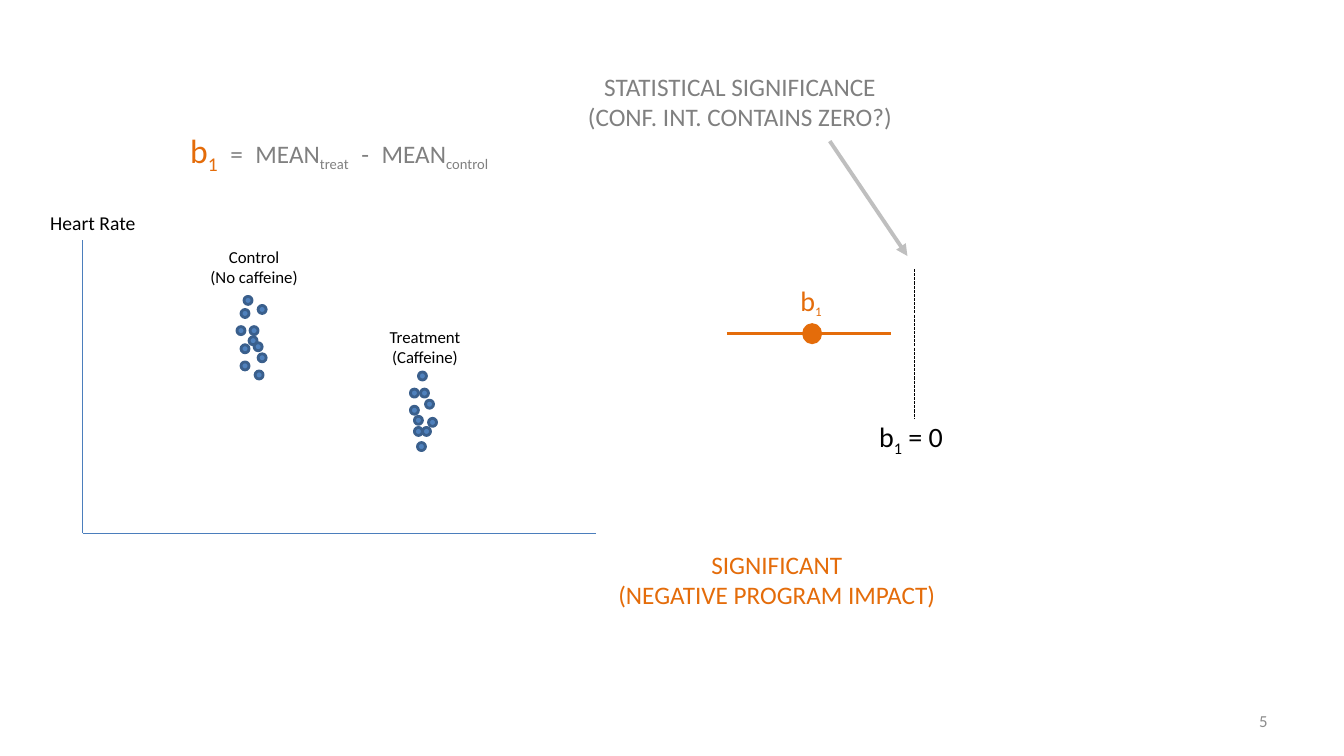
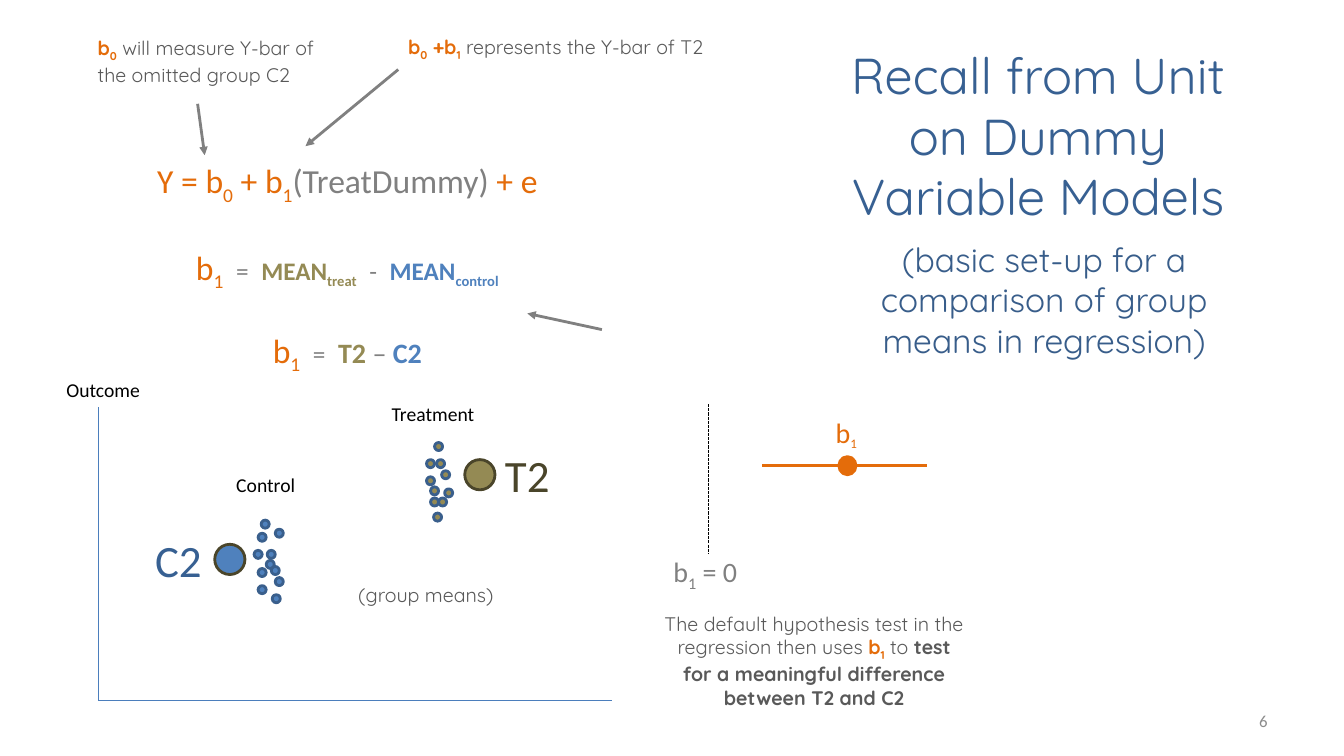
import pptx
import pptx.dml.color
import pptx.enum.dml
import pptx.enum.shapes
import pptx.enum.text
import pptx.oxml.ns
import pptx.util
from lxml import etree

Inches = pptx.util.Inches
Pt = pptx.util.Pt
LEFT = pptx.enum.text.PP_ALIGN.LEFT
CENTER = pptx.enum.text.PP_ALIGN.CENTER
RIGHT = pptx.enum.text.PP_ALIGN.RIGHT
TOP = pptx.enum.text.MSO_ANCHOR.TOP
MIDDLE = pptx.enum.text.MSO_ANCHOR.MIDDLE

BLACK, GRAY, DARK_GRAY, LIGHT_GRAY = "000000", "808080", "595959", "BFBFBF"
PAGE_GRAY, ORANGE, BLUE, OLIVE = "8C8C8C", "E46C0A", "4F81BD", "948A54"
NAVY, DOT_EDGE, AXIS_BLUE, DARK_OLIVE = "376092", "3A5F8C", "4B7EBC", "4A452A"
BODY_FONT, NOTE_FONT = "Calibri", "Quicksand"

CONTROL_DOTS = [
    (0, 0.3), (0.13, 0.3), (0.12, 0.4), (0.04, 0.48), (0.21, 0.57), (0.04, 0.65),
    (0.18, 0.74), (0.21, 0.09), (0.07, 0), (0.04, 0.13), (0.17, 0.46),
]
TREATMENT_DOTS = [
    (0, 0.34), (0, 0.17), (0.15, 0.28), (0.18, 0.46), (0.04, 0.55), (0.12, 0.55),
    (0.07, 0.7), (0.08, 0), (0.1, 0.17), (0.04, 0.44),
]

# A run is (text, colour, size, bold); text between underscores is subscript.
MEAN_DIFFERENCE = [("b_1_", ORANGE, 24), ("\u2002=\u2002MEAN_treat_\u2002-\u2002MEAN_control_",)]
ESTIMATE = [("b",), ("_1_", ORANGE, 16)]
ZERO = [("b_1_ = 0",)]
MODEL = [("Y = b_0_ + b_1_",), ("(TreatDummy) ", GRAY), ("+ e",)]
MODEL_MEANS = [
    ("b_1_",), ("\u2002=\u2002", GRAY, 18), ("MEAN_treat_", OLIVE, 18, True),
    ("\u2002-\u2002", GRAY, 18), ("MEAN_control_", BLUE, 18, True),
]
MODEL_GROUPS = [
    ("b_1_",), ("\u2002=\u2002", GRAY, 18), ("T2 ", OLIVE, 20, True),
    ("\u2013 ", GRAY, 20), ("C2", BLUE, 20, True),
]
INTERCEPT_NOTE = [("b_0_", ORANGE, None, True), (" will measure Y-bar of the omitted group C2",)]
SUM_NOTE = [("b_0_ +b_1_", ORANGE, None, True), (" represents the Y-bar of T2",)]
TEST_NOTE = [
    ("The default hypothesis test in the regression then uses ",),
    ("b_1_", ORANGE, None, True), (" to ",),
    ("test for a meaningful difference between T2 and C2", None, None, True),
]
TITLE = "Recall from Unit on Dummy Variable Models"
SUBTITLE = "(basic set-up for a comparison of group means in regression)"
MODEL_ARROWS = [
    (1.96, 1.03, 2.03, 1.54), (3.95, 0.69, 3.03, 1.45), (5.97, 3.27, 5.23, 3.11),
]


def rgb(value):
    return pptx.dml.color.RGBColor.from_string(value)


def add_run(paragraph, text, colour=None, size=None, bold=None):
    for index, piece in enumerate(text.split("_")):
        if not piece:
            continue
        run = paragraph.add_run()
        run.text = piece
        if colour:
            run.font.color.rgb = rgb(colour)
        if size:
            run.font.size = Pt(size)
        if bold:
            run.font.bold = True
        if index % 2:
            run._r.get_or_add_rPr().set("baseline", "-25000")


def write(frame, lines, size, colour, font, align, gaps=()):
    for index, line in enumerate(lines):
        paragraph = frame.paragraphs[0] if index == 0 else frame.add_paragraph()
        paragraph.alignment = align
        paragraph.space_before = Pt(gaps[index] if gaps else 0)
        paragraph.font.name = font
        paragraph.font.size = Pt(size)
        paragraph.font.color.rgb = rgb(colour)
        for run in [(line,)] if isinstance(line, str) else line:
            add_run(paragraph, *run)


def label(slide, box, lines, size, colour, font=BODY_FONT, align=CENTER, wrap=False, gaps=()):
    frame = slide.shapes.add_textbox(*map(Inches, box)).text_frame
    frame.word_wrap = wrap
    frame.auto_size = pptx.enum.text.MSO_AUTO_SIZE.SHAPE_TO_FIT_TEXT
    write(frame, lines, size, colour, font, align, gaps)


def note(slide, box, line, align=LEFT):
    label(slide, box, [line], 14, DARK_GRAY, NOTE_FONT, align, wrap=True)


def fill_placeholder(holder, box, text, size, colour):
    holder.left, holder.top, holder.width, holder.height = map(Inches, box)
    frame = holder.text_frame
    frame.auto_size = pptx.enum.text.MSO_AUTO_SIZE.NONE
    frame.vertical_anchor = TOP
    write(frame, [text], size, colour, NOTE_FONT, CENTER)


def line(slide, ends, colour, width, dashed=False, arrow=False):
    connector = slide.shapes.add_connector(
        pptx.enum.shapes.MSO_CONNECTOR.STRAIGHT, *map(Inches, ends))
    connector.line.color.rgb = rgb(colour)
    connector.line.width = Pt(width)
    if dashed:
        connector.line.dash_style = pptx.enum.dml.MSO_LINE.SQUARE_DOT
    if arrow:
        etree.SubElement(connector.line._get_or_add_ln(),
                         pptx.oxml.ns.qn("a:tailEnd"), type="triangle")
    etree.SubElement(connector._element.spPr, pptx.oxml.ns.qn("a:effectLst"))


def circle(slide, box, fill, edge):
    dot = slide.shapes.add_shape(pptx.enum.shapes.MSO_SHAPE.OVAL, *map(Inches, box))
    dot.shadow.inherit = False
    dot.fill.solid()
    dot.fill.fore_color.rgb = rgb(fill)
    dot.line.color.rgb = rgb(edge)
    dot.line.width = Pt(2)


def cluster(slide, left, top, dots, fill):
    for dx, dy in dots:
        circle(slide, (left + dx, top + dy, 0.08, 0.08), fill, DOT_EDGE)


def axes(slide, left, bottom):
    line(slide, (left, bottom, left + 5.09, bottom), AXIS_BLUE, 0.75)
    line(slide, (left, bottom, left, bottom - 2.91), AXIS_BLUE, 0.75)


def zero_mark(slide, x, top, colour):
    line(slide, (x, top, x, top + 1.49), BLACK, 0.75, dashed=True)
    label(slide, (x - 0.45, top + 1.44, 0.85, 0.44), [ZERO], 20, colour, align=LEFT)


def interval(slide, left, y):
    line(slide, (left, y, left + 1.63, y), ORANGE, 2)
    label(slide, (left + 0.63, y - 0.55, 0.42, 0.44), [ESTIMATE], 20, ORANGE, align=LEFT)
    circle(slide, (left + 0.76, y - 0.09, 0.17, 0.18), ORANGE, ORANGE)


def page_number(slide, number):
    frame = slide.shapes.add_textbox(*map(Inches, (9.56, 6.95, 3.11, 0.4))).text_frame
    frame.word_wrap = True
    frame.vertical_anchor = MIDDLE
    write(frame, [str(number)], 12, PAGE_GRAY, BODY_FONT, RIGHT)


def significance_slide(deck):
    slide = deck.slides.add_slide(deck.slide_layouts[6])
    page_number(slide, 5)
    axes(slide, 0.82, 5.29)
    cluster(slide, 2.35, 2.94, CONTROL_DOTS, BLUE)
    cluster(slide, 4.07, 3.69, TREATMENT_DOTS, BLUE)
    label(slide, (0.4, 2.04, 1.06, 0.34), ["Heart Rate"], 14, BLACK, align=LEFT)
    label(slide, (3.76, 3.19, 0.91, 0.5), ["Treatment", "(Caffeine)"], 12, BLACK)
    label(slide, (1.98, 2.4, 1.08, 0.5), ["Control", "(No caffeine)"], 12, BLACK)
    zero_mark(slide, 9.07, 2.67, BLACK)
    interval(slide, 7.21, 3.31)
    label(slide, (6.02, 5.4, 3.37, 0.71),
          ["SIGNIFICANT", "(NEGATIVE PROGRAM IMPACT)"], 18, ORANGE)
    label(slide, (1.71, 1.24, 3.31, 0.5), [MEAN_DIFFERENCE], 18, GRAY)
    label(slide, (5.61, 0.66, 3.46, 0.71),
          ["STATISTICAL SIGNIFICANCE", "(CONF. INT. CONTAINS ZERO?)"], 18, GRAY, wrap=True)
    line(slide, (8.23, 1.4, 9, 2.54), LIGHT_GRAY, 2.75, arrow=True)


def dummy_model_slide(deck):
    slide = deck.slides.add_slide(deck.slide_layouts[0])
    fill_placeholder(slide.shapes.title, (8.22, 0.39, 4.15, 1.92), TITLE, 36, NAVY)
    fill_placeholder(slide.placeholders[1], (8.49, 2.32, 3.73, 1.31), SUBTITLE, 24, "385D8A")
    page_number(slide, 6)
    note(slide, (6.49, 6.02, 3.17, 1.04), TEST_NOTE, CENTER)
    zero_mark(slide, 7.03, 4.01, GRAY)
    interval(slide, 7.56, 4.62)
    label(slide, (1.37, 1.54, 4.15, 2.12), [MODEL, MODEL_MEANS, MODEL_GROUPS],
          24, ORANGE, gaps=(0, 29, 26.5))
    note(slide, (0.87, 0.31, 2.49, 0.57), INTERCEPT_NOTE)
    note(slide, (3.95, 0.3, 3.44, 0.57), SUM_NOTE)
    for ends in MODEL_ARROWS:
        line(slide, ends, GRAY, 2, arrow=True)
    axes(slide, 0.98, 6.95)
    cluster(slide, 2.52, 5.16, CONTROL_DOTS, BLUE)
    cluster(slide, 4.23, 4.39, TREATMENT_DOTS, OLIVE)
    label(slide, (0.56, 3.7, 0.94, 0.34), ["Outcome"], 14, BLACK, align=LEFT)
    label(slide, (3.78, 3.94, 1.03, 0.34), ["Treatment"], 14, BLACK)
    label(slide, (2.24, 4.64, 0.79, 0.34), ["Control"], 14, BLACK)
    circle(slide, (2.13, 5.4, 0.3, 0.3), BLUE, DARK_OLIVE)
    circle(slide, (4.61, 4.56, 0.3, 0.3), OLIVE, DARK_OLIVE)
    label(slide, (4.91, 4.39, 0.65, 0.64), ["T2"], 32, DARK_OLIVE, align=LEFT)
    label(slide, (1.44, 5.24, 0.67, 0.64), ["C2"], 32, NAVY, align=LEFT)
    note(slide, (2.64, 5.73, 3.17, 0.34), "(group means)", CENTER)


deck = pptx.Presentation()
deck.slide_width = Inches(13.33)
deck.slide_height = Inches(7.5)
significance_slide(deck)
dummy_model_slide(deck)
deck.save("out.pptx")
